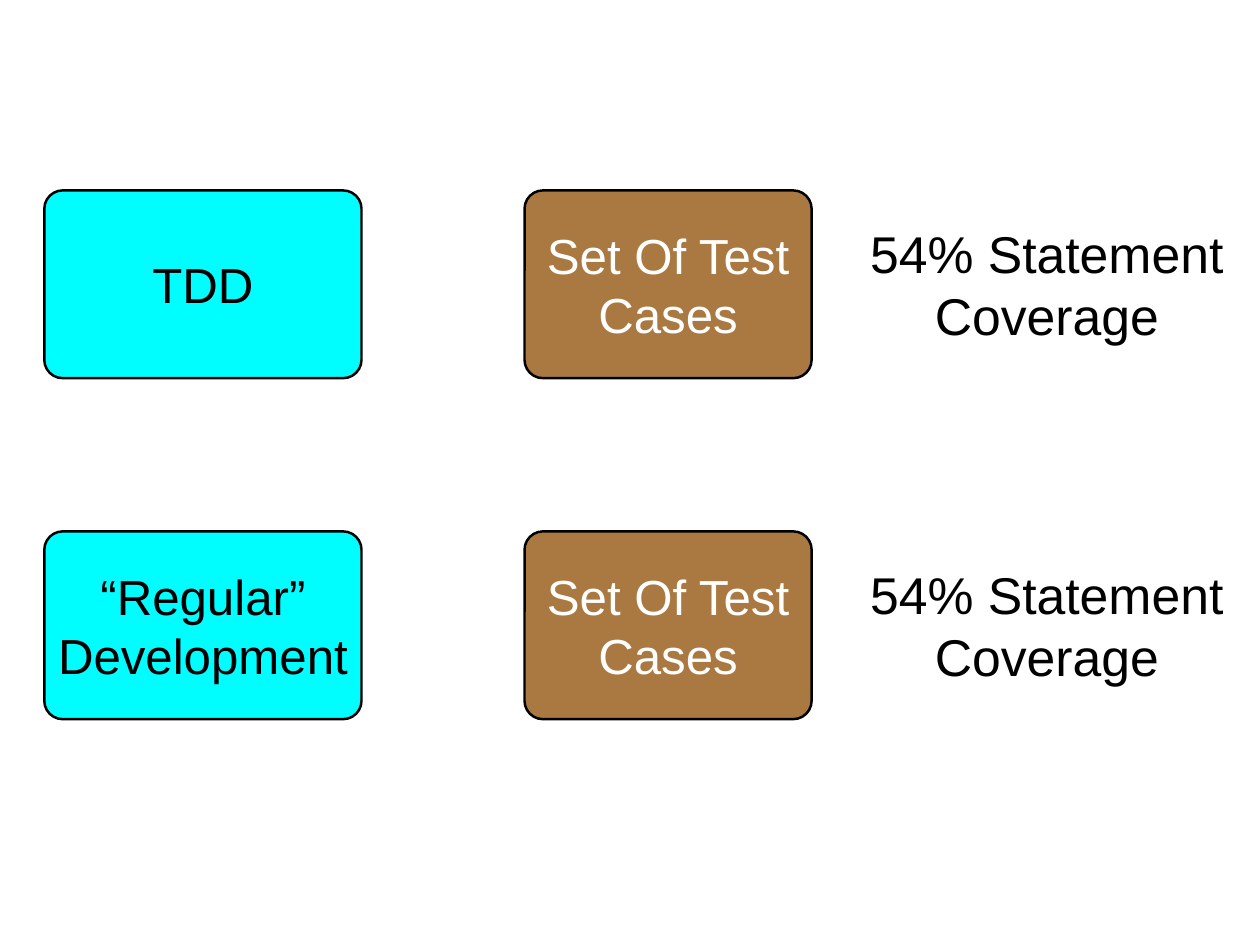
from dataclasses import dataclass
from typing import Optional

from pptx import Presentation
from pptx.dml.color import RGBColor
from pptx.enum.shapes import MSO_SHAPE
from pptx.enum.text import MSO_ANCHOR, PP_ALIGN
from pptx.shapes.autoshape import Shape
from pptx.slide import Slide
from pptx.util import Inches, Pt


@dataclass(frozen=True)
class Theme:
    font: str = "Arial"
    black: str = "000000"
    white: str = "FFFFFF"
    process_fill: str = "00FDFF"
    tests_fill: str = "AA7942"
    box_size: int = 40
    label_size: int = 42
    line_width: int = 2
    corner: float = 0.098
    inset: float = 0.06


@dataclass(frozen=True)
class Column:
    left: float
    width: float
    height: float
    size: int
    color: str
    fill: Optional[str] = None


THEME = Theme()
BOX_HEIGHT = 2.12
FIRST_ROW_TOP = 2.15
ROW_STEP = 3.85

PROCESS = Column(0.5, 3.58, BOX_HEIGHT, THEME.box_size, THEME.black, THEME.process_fill)
TESTS = Column(5.92, 3.24, BOX_HEIGHT, THEME.box_size, THEME.white, THEME.tests_fill)
COVERAGE = Column(9.65, 4.33, 1.47, THEME.label_size, THEME.black)

ROWS = [
    ("TDD", "Set Of Test Cases", "54% Statement Coverage"),
    ("“Regular” Development", "Set Of Test Cases", "54% Statement Coverage"),
]


def write_text(shape: Shape, text: str, *, size: int, color: str) -> None:
    frame = shape.text_frame
    frame.word_wrap = True
    frame.vertical_anchor = MSO_ANCHOR.MIDDLE
    frame.margin_left = frame.margin_right = Inches(THEME.inset)
    frame.margin_top = frame.margin_bottom = Inches(THEME.inset)
    paragraph = frame.paragraphs[0]
    paragraph.alignment = PP_ALIGN.CENTER
    run = paragraph.add_run()
    run.text = text
    run.font.name = THEME.font
    run.font.size = Pt(size)
    run.font.color.rgb = RGBColor.from_string(color)


def draw_cell(slide: Slide, column: Column, center: float, text: str) -> None:
    bounds = (Inches(column.left), Inches(center - column.height / 2),
              Inches(column.width), Inches(column.height))
    if column.fill:
        shape = slide.shapes.add_shape(MSO_SHAPE.ROUNDED_RECTANGLE, *bounds)
        shape.adjustments[0] = THEME.corner
        shape.shadow.inherit = False
        shape.fill.solid()
        shape.fill.fore_color.rgb = RGBColor.from_string(column.fill)
        shape.line.color.rgb = RGBColor.from_string(THEME.black)
        shape.line.width = Pt(THEME.line_width)
    else:
        shape = slide.shapes.add_textbox(*bounds)
    write_text(shape, text, size=column.size, color=column.color)


def main() -> None:
    presentation = Presentation()
    presentation.slide_width = Inches(14.22)
    presentation.slide_height = Inches(10.67)
    slide = presentation.slides.add_slide(presentation.slide_layouts[6])
    slide.background.fill.solid()
    slide.background.fill.fore_color.rgb = RGBColor.from_string(THEME.white)

    # One row per development style: process, its tests, their coverage
    for index, texts in enumerate(ROWS):
        center = FIRST_ROW_TOP + index * ROW_STEP + BOX_HEIGHT / 2
        for column, text in zip((PROCESS, TESTS, COVERAGE), texts):
            draw_cell(slide, column, center, text)

    presentation.save("out.pptx")


if __name__ == "__main__":
    main()
